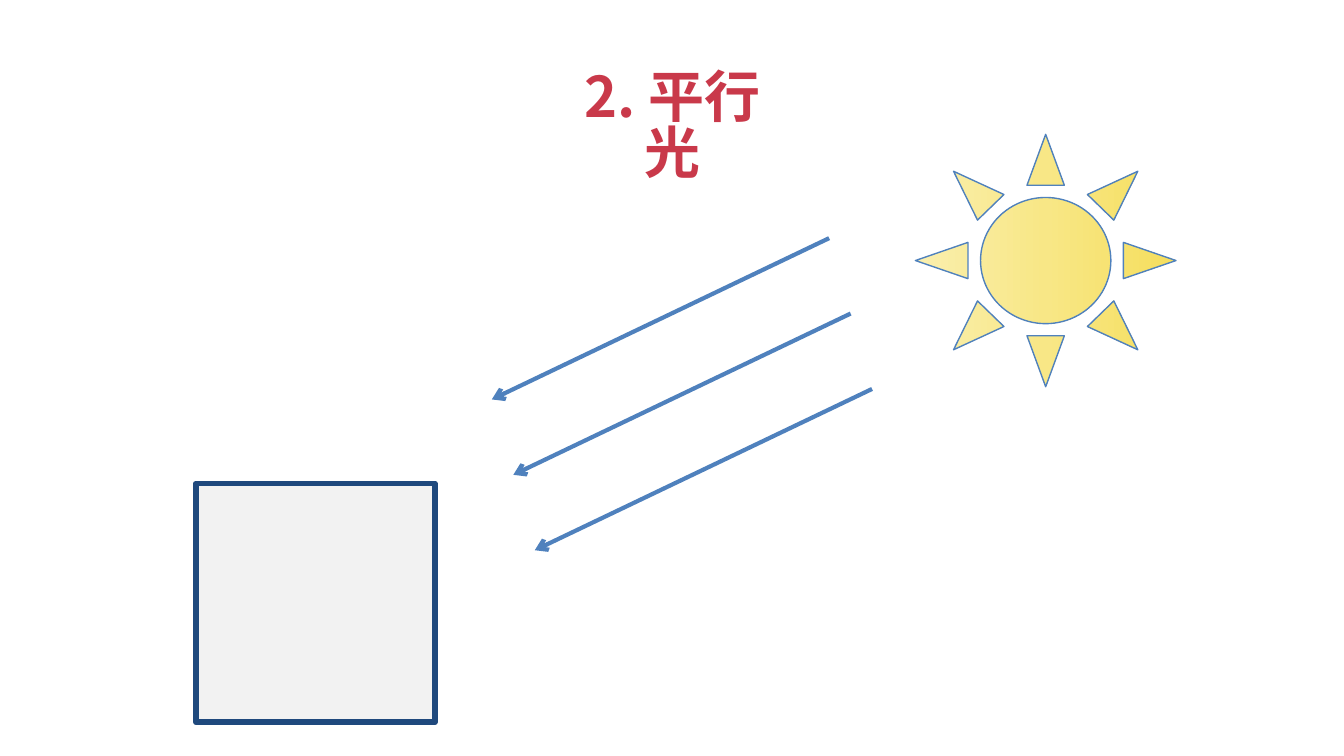
from copy import deepcopy

from lxml import etree
from pptx import Presentation
from pptx.dml.color import RGBColor
from pptx.enum.shapes import MSO_CONNECTOR, MSO_SHAPE
from pptx.enum.text import MSO_ANCHOR, MSO_AUTO_SIZE, PP_ALIGN
from pptx.oxml.ns import qn
from pptx.util import Pt

RECTANGLE = MSO_SHAPE.RECTANGLE
SUN = MSO_SHAPE.SUN
STRAIGHT = MSO_CONNECTOR.STRAIGHT
TOP = MSO_ANCHOR.TOP
NO_AUTOFIT = MSO_AUTO_SIZE.NONE
CENTER = PP_ALIGN.CENTER

FONT = "Noto Sans CJK SC"
COLORS = {
    "title": "C9394A",
    "box": "F2F2F2",
    "box_line": "1F497D",
    "ray": "4F81BD",
    "sun_left": "FAEFAE",
    "sun_middle": "F8E786",
    "sun_right": "F5DE5D",
}


def color(name):
    return RGBColor.from_string(COLORS[name])


class SlideBuilder:
    """Holds the style and the current slide."""

    def __init__(self, slide):
        self.slide = slide

    def title(self, text, left, top, width, height, size):
        shape = self.slide.shapes.title
        shape.left, shape.top = Pt(left), Pt(top)
        shape.width, shape.height = Pt(width), Pt(height)
        frame = shape.text_frame
        frame.word_wrap = True
        frame.auto_size = NO_AUTOFIT
        frame.vertical_anchor = TOP
        # Side margins that leave room for four characters and the number
        frame.margin_left = frame.margin_right = Pt(14)
        frame.margin_top = Pt(5)
        paragraph = frame.paragraphs[0]
        paragraph.alignment = CENTER
        paragraph.line_spacing = 0.83
        run = paragraph.add_run()
        run.text = text
        run.font.name = FONT
        run.font.size = Pt(size)
        run.font.bold = True
        run.font.color.rgb = color("title")
        east_asian = etree.SubElement(run.font._element, qn("a:ea"))
        east_asian.set("typeface", FONT)

    def shape(self, kind, left, top, width, height, fills, line, line_width):
        shape = self.slide.shapes.add_shape(
            kind, Pt(left), Pt(top), Pt(width), Pt(height))
        shape.shadow.inherit = False
        if len(fills) == 1:
            shape.fill.solid()
            shape.fill.fore_color.rgb = color(fills[0])
        else:
            self.gradient(shape.fill, fills)
        shape.line.color.rgb = color(line)
        shape.line.width = Pt(line_width)

    def gradient(self, fill, names):
        fill.gradient()
        fill.gradient_angle = 0
        stop_list = fill._xPr.find(qn("a:gradFill")).find(qn("a:gsLst"))
        while len(stop_list) < len(names):
            stop_list.append(deepcopy(stop_list[0]))
        for index, (stop, name) in enumerate(zip(fill.gradient_stops, names)):
            stop.position = index / (len(names) - 1)
            stop.color.rgb = color(name)

    def arrow(self, x, y, run_x, run_y):
        connector = self.slide.shapes.add_connector(
            STRAIGHT, Pt(x), Pt(y), Pt(x + run_x), Pt(y + run_y))
        connector.line.color.rgb = color("ray")
        connector.line.width = Pt(2.25)
        line = connector.line._get_or_add_ln()
        etree.SubElement(line, qn("a:tailEnd")).set("type", "arrow")
        etree.SubElement(connector._element.spPr, qn("a:effectLst"))


def main():
    presentation = Presentation()
    presentation.slide_width = Pt(720)
    presentation.slide_height = Pt(405)
    title_only = presentation.slide_layouts[5]
    builder = SlideBuilder(presentation.slides.add_slide(title_only))

    # Heading
    builder.title("2. 平行光", 289.5, 34, 142, 44, 30)

    # Lit object
    builder.shape(RECTANGLE, 105, 259, 128, 128, ["box"], "box_line", 3)

    # Parallel rays
    for index in range(3):
        builder.arrow(444.2 + 11.5 * index, 127.6 + 40.4 * index, -180.7, 86.4)

    # Light source
    builder.shape(SUN, 490.4, 72, 139.6, 135.2,
                  ["sun_left", "sun_middle", "sun_right"], "ray", 0.75)

    presentation.save("out.pptx")


if __name__ == "__main__":
    main()
